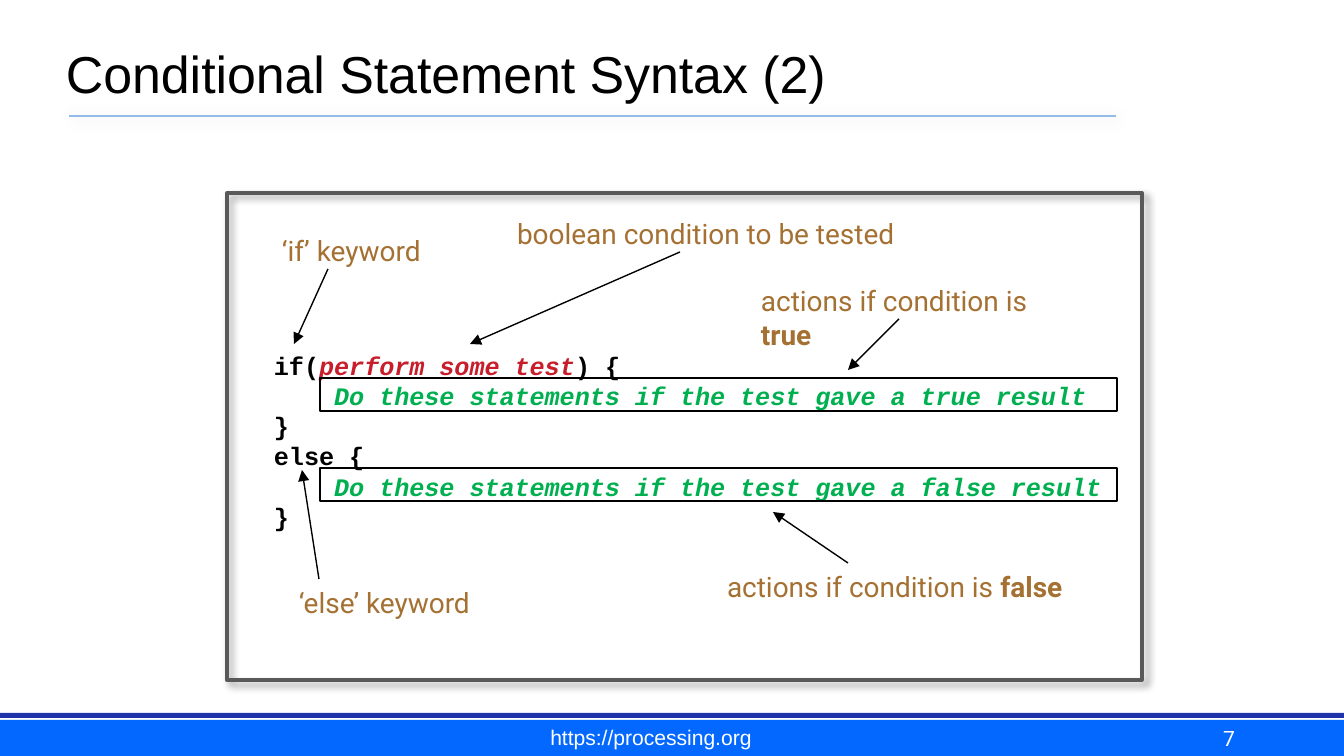
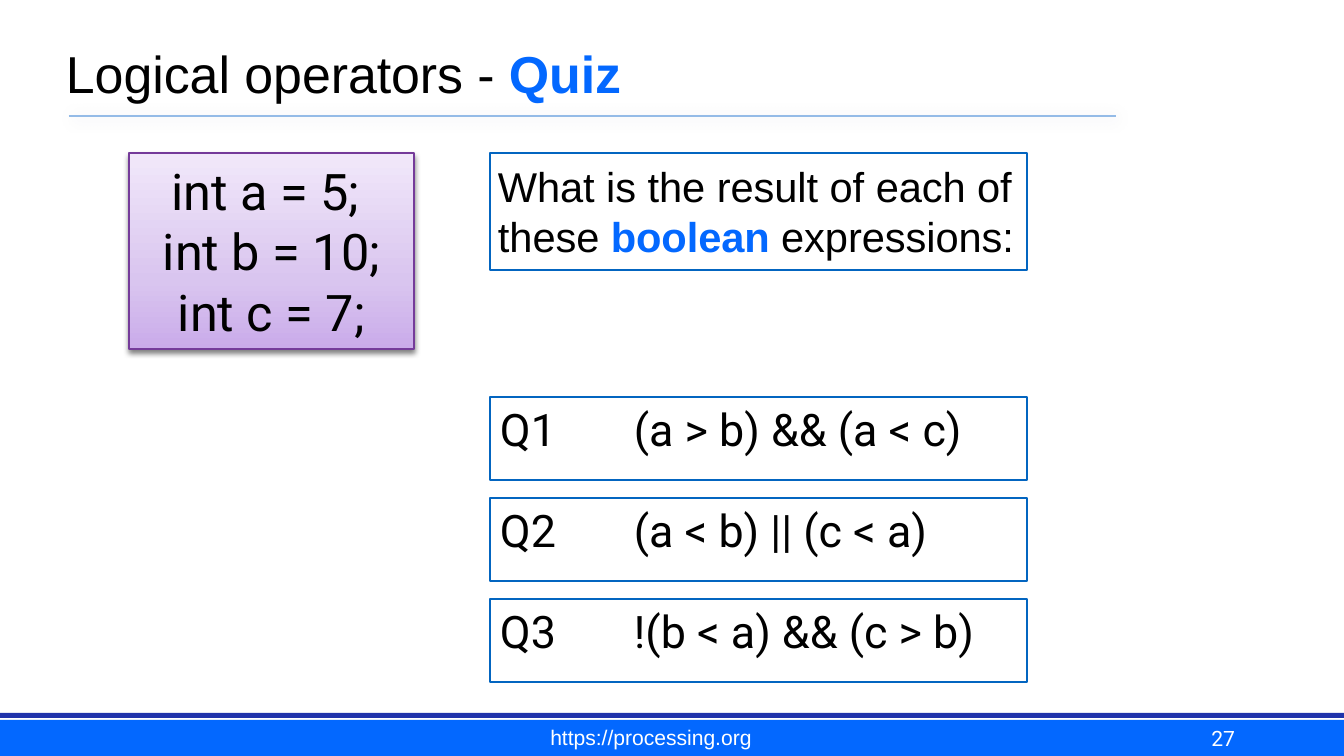
from lxml import etree
from pptx import Presentation
from pptx.dml.color import RGBColor
from pptx.enum.shapes import MSO_CONNECTOR as Link, MSO_SHAPE as Shape
from pptx.enum.text import MSO_ANCHOR as Anchor, MSO_AUTO_SIZE as Fit, PP_ALIGN as Align
from pptx.oxml import parse_xml
from pptx.oxml.ns import qn
from pptx.util import Emu, Pt

WIDTH, HEIGHT = 1344, 756
SCALE = 9144000 / WIDTH
BLACK, WHITE = "000000", "FFFFFF"
BLUE, NAVY, SKY, EDGE = "0368FF", "1F33AB", "94BBE7", "0365C0"
BROWN, RED, GREEN, GRAY, PURPLE = "A57133", "C81D2B", "00B050", "595959", "753B9A"
SANS, MONO, BODY = "Arial", "Courier New", "Roboto"
DRAW = "http://schemas.openxmlformats.org/drawingml/2006/main"


def px(n):
    return Emu(round(n * SCALE))


def rgb(code):
    return RGBColor.from_string(code)


def area(box, x, y, w, h):
    """Shift a part from its box's corner to the slide's."""
    return box[0] + x, box[1] + y, w, h


def write(shape, paras, size=15, font=BODY, color=BLACK, bold=False, align=Align.LEFT,
          anchor=Anchor.TOP, pad=(13, 7), before=0, tab=None):
    """Fill a shape with paragraphs, each a list of (text, format) runs or plain strings."""
    frame = shape.text_frame
    frame.word_wrap, frame.auto_size = True, Fit.NONE
    frame.vertical_anchor = anchor
    frame.margin_left = frame.margin_right = px(pad[0])
    frame.margin_top = frame.margin_bottom = px(pad[1])
    for i, runs in enumerate(paras):
        para = frame.add_paragraph() if i else frame.paragraphs[0]
        para.alignment = align
        para.space_before = Pt(before)
        para.line_spacing = Pt(round(size * 1.2, 1))
        if tab:
            tabs = etree.SubElement(para._p.get_or_add_pPr(), qn("a:tabLst"))
            etree.SubElement(tabs, qn("a:tab"), pos=str(px(tab)), algn="l")
        for item in runs:
            text, look = (item, {}) if isinstance(item, str) else item
            run = para.add_run()
            run.text = text
            face = run.font
            face.name, face.size = font, Pt(size)
            face.bold = look.get("bold", bold)
            face.italic = look.get("italic", False)
            face.color.rgb = rgb(look.get("color", color))


def label(slide, box, paras, **look):
    shape = slide.shapes.add_textbox(*map(px, box))
    write(shape, paras, **look)


def rect(slide, box, fill=None, line=None, width=0.75, shade=None):
    shape = slide.shapes.add_shape(Shape.RECTANGLE, *map(px, box))
    if fill:
        shape.fill.solid()
        shape.fill.fore_color.rgb = rgb(fill)
    else:
        shape.fill.background()
    if line:
        shape.line.color.rgb = rgb(line)
        shape.line.width = Pt(width)
    else:
        shape.line.fill.background()
    shape.shadow.inherit = False
    if shade:
        cast(shape._element.spPr.find(qn("a:effectLst")), *shade)
    return shape


def cast(effects, color, alpha, blur, dist, angle):
    """Add an outer shadow; blur and distance are in points."""
    effects.append(parse_xml(
        f'<a:outerShdw xmlns:a="{DRAW}" blurRad="{Pt(blur)}" dist="{Pt(dist)}" '
        f'dir="{angle * 60000}" algn="ctr" rotWithShape="0"><a:srgbClr val="{color}">'
        f'<a:alpha val="{alpha * 1000}"/></a:srgbClr></a:outerShdw>'))


def rule(slide, start, end, color=BLACK, width=0.75, arrow=False, shade=None):
    line = slide.shapes.add_connector(Link.STRAIGHT, *map(px, start + end))
    line.line.color.rgb = rgb(color)
    line.line.width = Pt(width)
    props = line._element.spPr
    if arrow:
        etree.SubElement(props.find(qn("a:ln")), qn("a:tailEnd"), type="triangle")
    effects = etree.SubElement(props, qn("a:effectLst"))
    if shade:
        cast(effects, *shade)


def blend(shape, stops):
    """Give a shape a gradient that runs from bottom to top."""
    marks = "".join(f'<a:gs pos="{at * 1000}"><a:srgbClr val="{code}"/></a:gs>'
                    for at, code in stops)
    props = shape._element.spPr
    props.replace(props.find(qn("a:noFill")), parse_xml(
        f'<a:gradFill xmlns:a="{DRAW}" rotWithShape="1"><a:gsLst>{marks}</a:gsLst>'
        '<a:lin ang="16200000" scaled="0"/></a:gradFill>'))


def base(deck, title, number):
    """Start a slide with its title, rule, bands and footer."""
    slide = deck.slides.add_slide(deck.slide_layouts[5])
    head = slide.shapes.title
    head.left, head.top, head.width, head.height = map(px, (58, 0, 1142, 112))
    write(head, [title], size=27.75, font=SANS, anchor=Anchor.BOTTOM, pad=(8, 8))
    rect(slide, (0, 720, WIDTH, 36), fill=BLUE)
    rect(slide, (0, 713, WIDTH, 5), fill=NAVY)
    rule(slide, (69, 116), (1116, 116), SKY, 1, shade=("003D62", 20, 8, 1, 45))
    foot = dict(size=11.25, color=WHITE, anchor=Anchor.BOTTOM)
    label(slide, (472, 720, 358, 35), [["https://processing.org"]], font=SANS,
          align=Align.CENTER, pad=(11, 5), **foot)
    label(slide, (963, 717, 280, 42), [[str(number)]], align=Align.RIGHT, pad=(8, 8), **foot)
    return slide


def syntax(slide, box):
    """Code of an if statement, with its parts named by arrows."""
    test = dict(color=RED, italic=True)
    act = dict(color=GREEN, italic=True)
    code = [["if(", ("perform some test", test), ") {"],
            ["    ", ("Do these statements if the test gave a true result", act)],
            ["}"],
            ["else {"],
            ["    ", ("Do these statements if the test gave a false result", act)],
            ["}"]]
    label(slide, area(box, 34, 150, 870, 196), code, size=13.5, font=MONO, bold=True)
    strong = dict(bold=True)
    notes = [
        (42, 34, 169, ["‘if’ keyword"], (101, 76), (67, 151)),
        (277, 17, 419, ["boolean condition to be tested"], (453, 59), (243, 151)),
        (521, 84, 349, ["actions if condition is ", ("true", strong)], (672, 126), (621, 177)),
        (487, 370, 370, ["actions if condition is ", ("false", strong)], (621, 370), (546, 319)),
        (59, 386, 207, ["‘else’ keyword"], (92, 386), (75, 277)),
    ]
    for x, y, w, runs, start, end in notes:
        label(slide, area(box, x, y, w, 47), [runs], color=BROWN)
        rule(slide, area(box, *start, 0, 0)[:2], area(box, *end, 0, 0)[:2], arrow=True)
    for y in (275, 185):
        rect(slide, area(box, 93, y, 797, 33), line=BLACK)
    rect(slide, box, line=GRAY, width=2, shade=(BLACK, 40, 4, 3, 45))


def values(slide, box):
    card = rect(slide, box, line=PURPLE, shade=(BLACK, 50, 3, 2, 90))
    blend(card, [(0, "CAABEA"), (35, "D9C5EF"), (100, "F1E8FA")])
    write(card, [["int a = 5; "], ["int b = 10;"], ["int c = 7;"]], size=27,
          align=Align.CENTER)


def quiz(slide, box):
    """The question, with one row for each expression below it."""
    wide = box[2]
    ask = rect(slide, area(box, 0, 0, wide, 117), line=EDGE, width=1)
    write(ask, [["What is the result of each of these ",
                 ("boolean ", dict(color=BLUE, bold=True)), "expressions:"]],
          size=22.25, font=SANS, pad=(8, 8), before=3.8)
    tests = ["(a > b) && (a < c)", "(a < b) || (c < a)", "!(b < a) && (c > b)"]
    for i, test in enumerate(tests):
        row = rect(slide, area(box, 0, 244 + 101 * i, wide, 83), line=EDGE)
        write(row, [[f"Q{i + 1}\t{test}"]], size=24, pad=(10, 5), before=4.8, tab=134)


def main():
    deck = Presentation()
    deck.slide_width, deck.slide_height = px(WIDTH), px(HEIGHT)
    slide = base(deck, ["Conditional Statement Syntax (2)"], 7)
    syntax(slide, (227, 193, 915, 487))
    slide = base(deck, ["Logical operators - ", ("Quiz", dict(color=BLUE, bold=True))], 27)
    values(slide, (129, 153, 285, 196))
    quiz(slide, (490, 153, 537, 528))
    deck.save("out.pptx")


if __name__ == "__main__":
    main()
